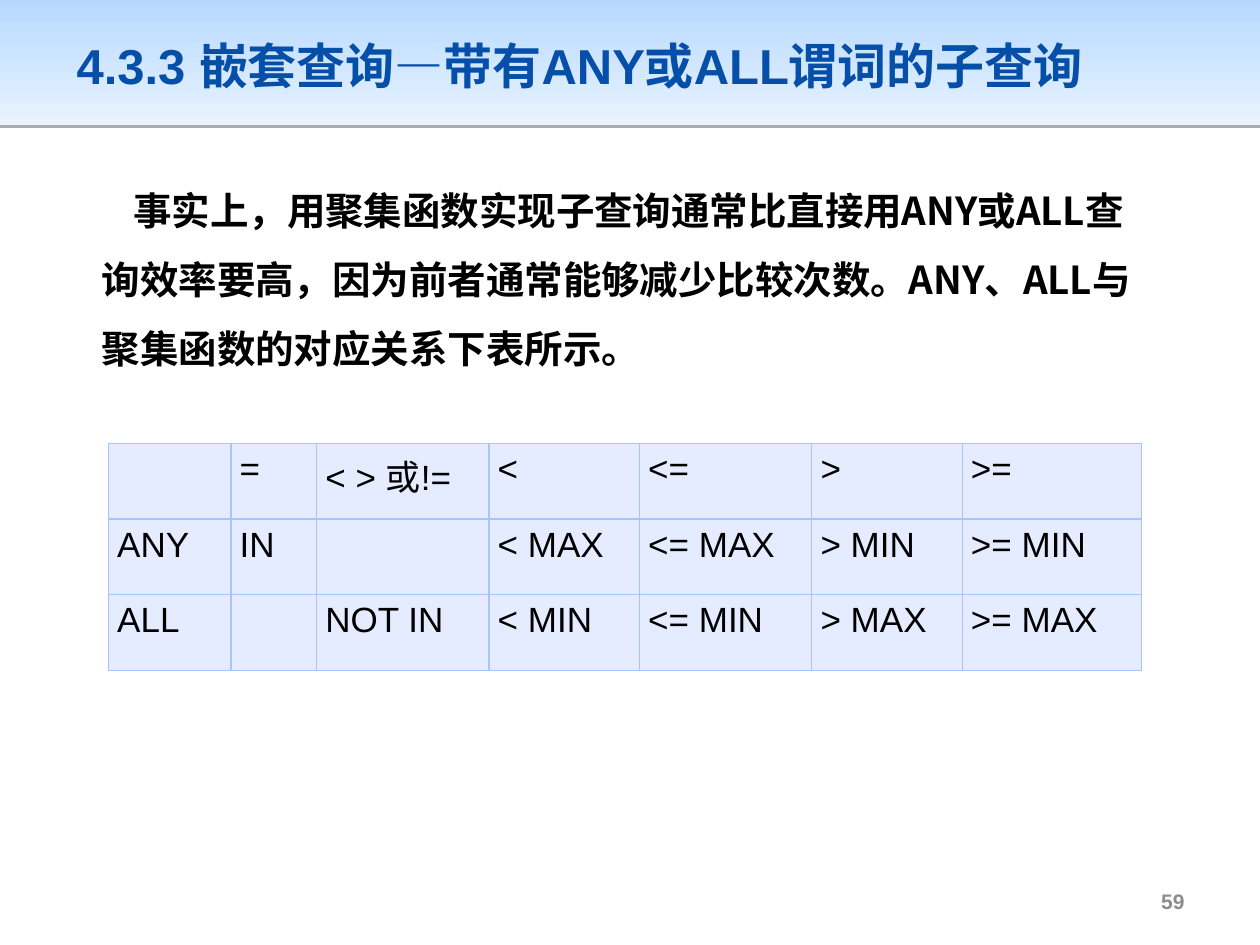
from lxml.etree import SubElement
from pptx import Presentation
from pptx.dml.color import RGBColor as RGB
from pptx.enum.shapes import MSO_SHAPE as Shape
from pptx.enum.text import MSO_ANCHOR as Anchor, PP_ALIGN as Align
from pptx.oxml import parse_xml
from pptx.oxml.ns import nsdecls, qn
from pptx.util import Pt

COLORS = {
    "band_top": "B7D9FF", "band_bottom": "E8F3FF", "title": "054FA9",
    "text": "000000", "cell": "E5ECFF", "border": "A7C5FB", "number": "8C8C8C",
}
LATIN, CJK = "Arial", "Noto Sans CJK SC"
TITLE = "4.3.3 嵌套查询—带有ANY或ALL谓词的子查询"
BODY = ("事实上，用聚集函数实现子查询通常比直接用ANY或ALL查询效率要高，"
        "因为前者通常能够减少比较次数。ANY、ALL与聚集函数的对应关系下表所示。")
ROWS = [
    ["", "=", "< > 或!=", "<", "<=", ">", ">="],
    ["ANY", "IN", "", "< MAX", "<= MAX", "> MIN", ">= MIN"],
    ["ALL", "", "NOT IN", "< MIN", "<= MIN", "> MAX", ">= MAX"],
]
COL_WIDTHS = [70, 49, 98.5, 86, 98.5, 86, 102.5]


class Deck:
    def __init__(self, s):
        self.s = s

    def color(self, name):
        return RGB.from_string(COLORS[name])

    def run(self, p, text, size, color, font=LATIN, bold=False):
        r = p.add_run()
        r.text = text
        r.font.size, r.font.bold, r.font.name = Pt(size), bold, font
        r.font.color.rgb = self.color(color)
        SubElement(r._r.get_or_add_rPr(), qn("a:ea")).set("typeface", CJK)

    def band(self, x, y, w, h):
        sp = self.s.shapes.add_shape(Shape.RECTANGLE, Pt(x), Pt(y), Pt(w), Pt(h))
        sp.line.fill.background()
        sp.fill.gradient()
        sp.fill.gradient_angle = 270
        for stop, name in zip(sp.fill.gradient_stops, ("band_top", "band_bottom")):
            stop.color.rgb = self.color(name)
        sp._element.spPr.append(parse_xml(
            f'<a:effectLst {nsdecls("a")}><a:outerShdw blurRad="0" dist="{Pt(1.6)}" '
            'dir="5400000" algn="t" rotWithShape="0"><a:srgbClr val="000000">'
            '<a:alpha val="33000"/></a:srgbClr></a:outerShdw></a:effectLst>'))

    def text(self, x, y, w, h, text, size, color, font=LATIN,
             anchor=Anchor.MIDDLE, align=Align.LEFT):
        sp = self.s.shapes.add_textbox(Pt(x), Pt(y), Pt(w), Pt(h))
        tf = sp.text_frame
        tf.word_wrap, tf.vertical_anchor = True, anchor
        p = tf.paragraphs[0]
        p.alignment = align
        self.run(p, text, size, color, font, True)
        return p

    def table(self, x, y, widths, row_height, rows):
        t = self.s.shapes.add_table(len(rows), len(widths), Pt(x), Pt(y),
                                    Pt(sum(widths)), Pt(row_height * len(rows))).table
        for col, w in zip(t.columns, widths):
            col.width = Pt(w)
        for i, row in enumerate(rows):
            for j, text in enumerate(row):
                self.cell(t.cell(i, j), text)

    def cell(self, cell, text):
        cell.margin_left = cell.margin_right = Pt(5)
        cell.margin_top = cell.margin_bottom = Pt(3.6)
        tcPr = cell._tc.get_or_add_tcPr()
        for side in ("lnL", "lnR", "lnT", "lnB"):
            tcPr.append(parse_xml(
                f'<a:{side} {nsdecls("a")} w="{Pt(0.75)}"><a:solidFill>'
                f'<a:srgbClr val="{COLORS["border"]}"/></a:solidFill></a:{side}>'))
        cell.fill.solid()
        cell.fill.fore_color.rgb = self.color("cell")
        if text:
            p = cell.text_frame.paragraphs[0]
            p.alignment = Align.JUSTIFY
            self.run(p, text, 20, "text")


def main():
    prs = Presentation()
    prs.slide_width, prs.slide_height = Pt(720), Pt(540)
    d = Deck(prs.slides.add_slide(prs.slide_layouts[6]))
    d.band(0, 0, 720, 71.3)
    d.text(36.7, 11.5, 646.6, 51, TITLE, 28, "title")
    p = d.text(36.7, 90, 632.2, 388.8, BODY, 22, "text", CJK, Anchor.TOP)
    p.line_spacing, p.space_before = 1.5, Pt(4.4)
    pPr = p._p.get_or_add_pPr()
    pPr.set("marL", str(Pt(14.4)))
    pPr.set("indent", str(Pt(18)))
    d.table(62, 253.4, COL_WIDTHS, 43.2, ROWS)
    d.text(516.2, 500.4, 167.8, 28.8, "59", 12, "number", align=Align.RIGHT)
    prs.save("out.pptx")


if __name__ == "__main__":
    main()
